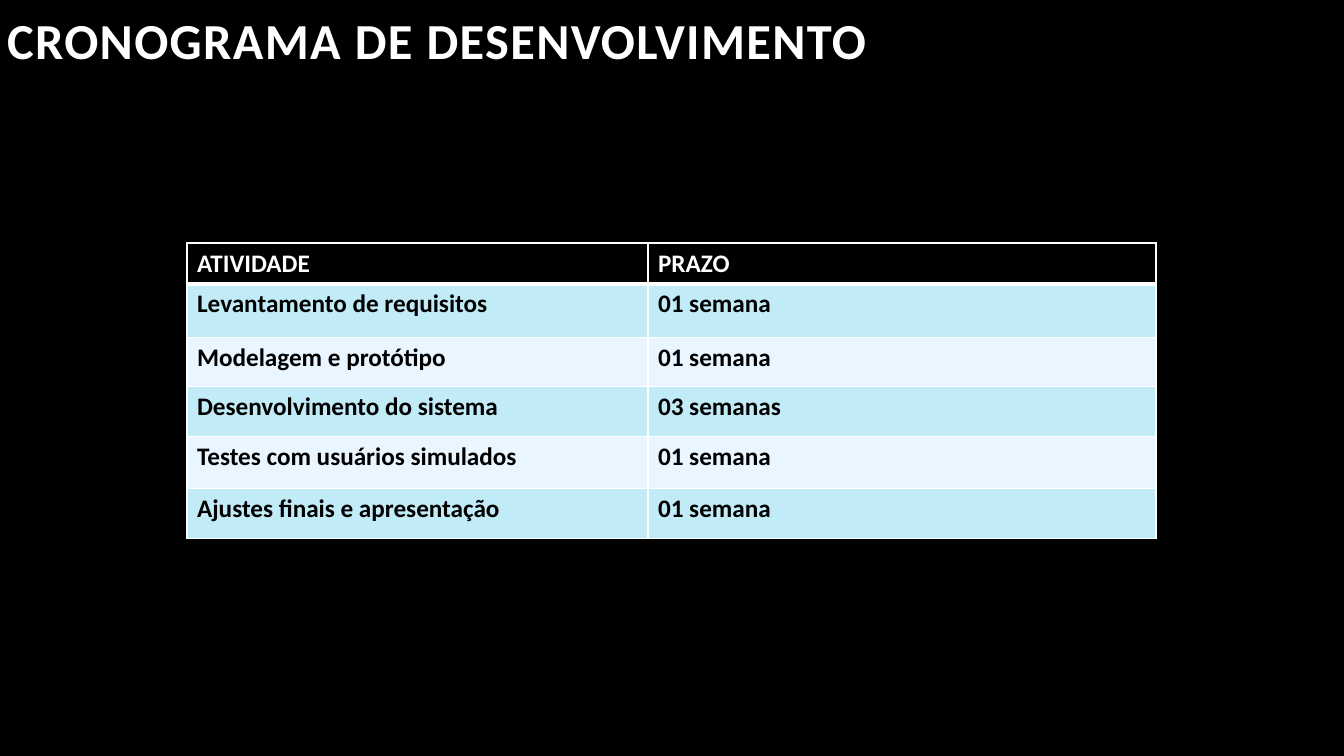
import pptx
import pptx.dml.color
import pptx.enum.text
import pptx.oxml
import pptx.oxml.ns
import pptx.util

THEME = {
    "font": "Calibri",
    "background": "000000",
    "light": "FFFFFF",
    "dark": "000000",
    "bands": ["C1EBF7", "E9F5FF"],
    "title_size": 36,
    "table_size": 18,
    "grid_width": 1,
    "header_rule_width": 3,
}
EMU_PER_PX = 914400 / 100.8

SCHEDULE = [
    ("ATIVIDADE ", "PRAZO"),
    ("Levantamento de requisitos", "01 semana"),
    ("Modelagem e protótipo", "01 semana"),
    ("Desenvolvimento do sistema", "03 semanas"),
    ("Testes com usuários simulados", "01 semana"),
    ("Ajustes finais e apresentação", "01 semana"),
]
COLUMN_WIDTHS = [461, 508]
ROW_HEIGHTS = [40, 54, 49, 50, 52, 50]


def px(length):
    return pptx.util.Emu(round(length * EMU_PER_PX))


def add_bold_run(paragraph, text, size, color):
    run = paragraph.add_run()
    run.text = text
    run.font.name = THEME["font"]
    run.font.size = pptx.util.Pt(size)
    run.font.bold = True
    run.font.color.rgb = pptx.dml.color.RGBColor.from_string(color)
    return run


deck = pptx.Presentation()
deck.slide_width, deck.slide_height = px(1344), px(756)
slide = deck.slides.add_slide(deck.slide_layouts[5])
slide.background.fill.solid()
slide.background.fill.fore_color.rgb = pptx.dml.color.RGBColor.from_string(THEME["background"])

# Title
title = slide.shapes.title
title.left, title.top, title.width, title.height = px(-3), px(-76), px(1008), px(151)
title.text_frame.word_wrap = True
title.text_frame.auto_size = pptx.enum.text.MSO_AUTO_SIZE.NONE
title.text_frame.vertical_anchor = pptx.enum.text.MSO_ANCHOR.BOTTOM
heading = title.text_frame.paragraphs[0]
heading.alignment = pptx.enum.text.PP_ALIGN.LEFT
heading.line_spacing = 0.9
heading_run = add_bold_run(heading, "CRONOGRAMA DE DESENVOLVIMENTO", THEME["title_size"], THEME["light"])
heading_run.font._element.set("spc", "100")

# Schedule table
schedule = slide.shapes.add_table(
    len(SCHEDULE), len(COLUMN_WIDTHS), px(187), px(243), px(sum(COLUMN_WIDTHS)), px(sum(ROW_HEIGHTS))
).table
for column, width in zip(schedule.columns, COLUMN_WIDTHS):
    column.width = px(width)
for row, height in zip(schedule.rows, ROW_HEIGHTS):
    row.height = px(height)

for row_index, entries in enumerate(SCHEDULE):
    is_header = row_index == 0
    fill_color = THEME["background"] if is_header else THEME["bands"][(row_index - 1) % 2]
    text_color = THEME["light"] if is_header else THEME["dark"]
    for column_index, entry in enumerate(entries):
        cell = schedule.cell(row_index, column_index)
        cell.fill.solid()
        cell.fill.fore_color.rgb = pptx.dml.color.RGBColor.from_string(fill_color)
        paragraph = cell.text_frame.paragraphs[0]
        paragraph.alignment = pptx.enum.text.PP_ALIGN.JUSTIFY
        add_bold_run(paragraph, entry, THEME["table_size"], text_color)

        # Borders come before the fill in the cell properties
        cell_properties = cell._tc.get_or_add_tcPr()
        for position, side in enumerate("LRTB"):
            on_header_rule = (row_index, side) in [(0, "B"), (1, "T")]
            width = THEME["header_rule_width"] if on_header_rule else THEME["grid_width"]
            border = pptx.oxml.parse_xml(
                f'<a:ln{side} {pptx.oxml.ns.nsdecls("a")} w="{pptx.util.Pt(width)}">'
                f'<a:solidFill><a:srgbClr val="{THEME["light"]}"/></a:solidFill></a:ln{side}>'
            )
            cell_properties.insert(position, border)

deck.save("out.pptx")
